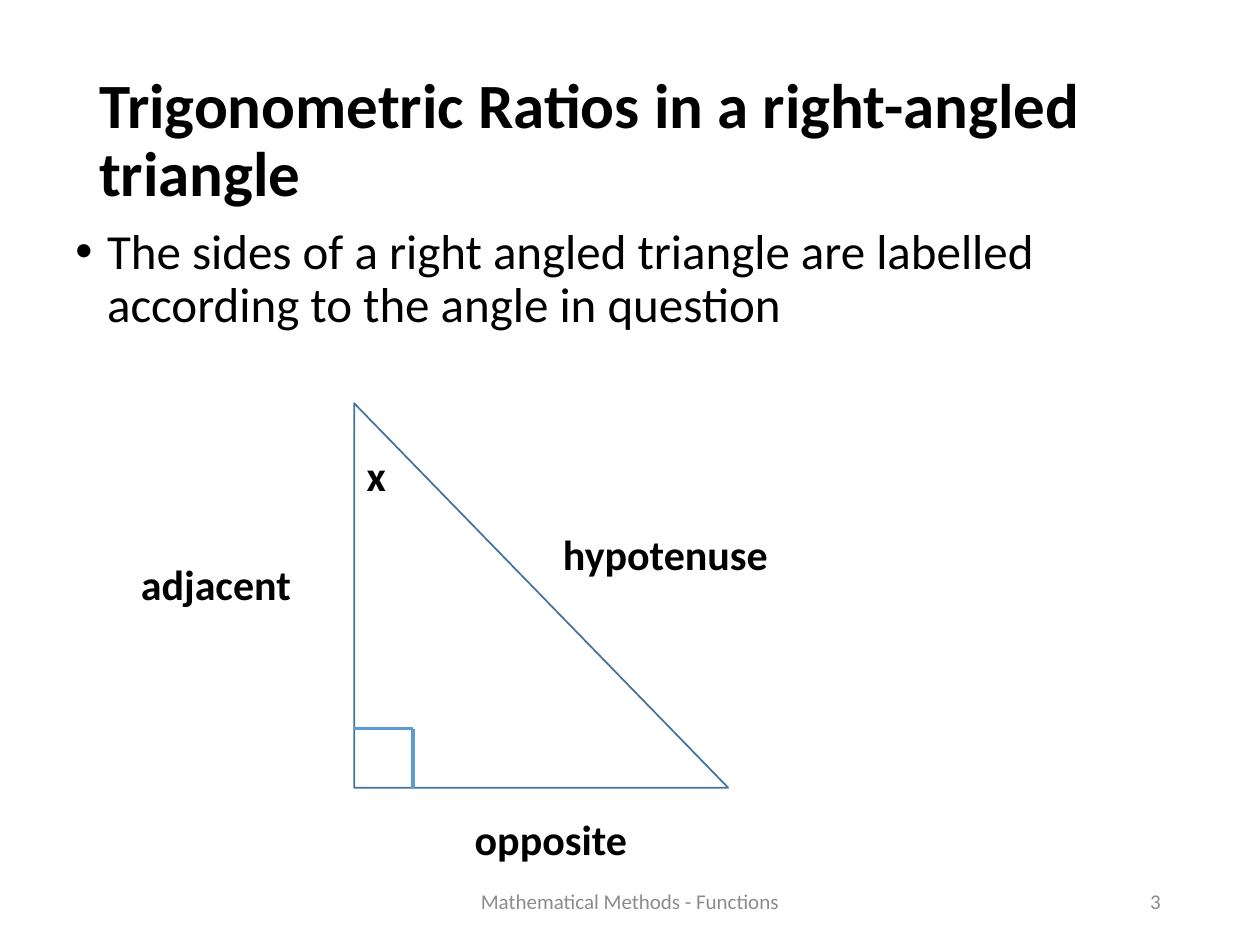
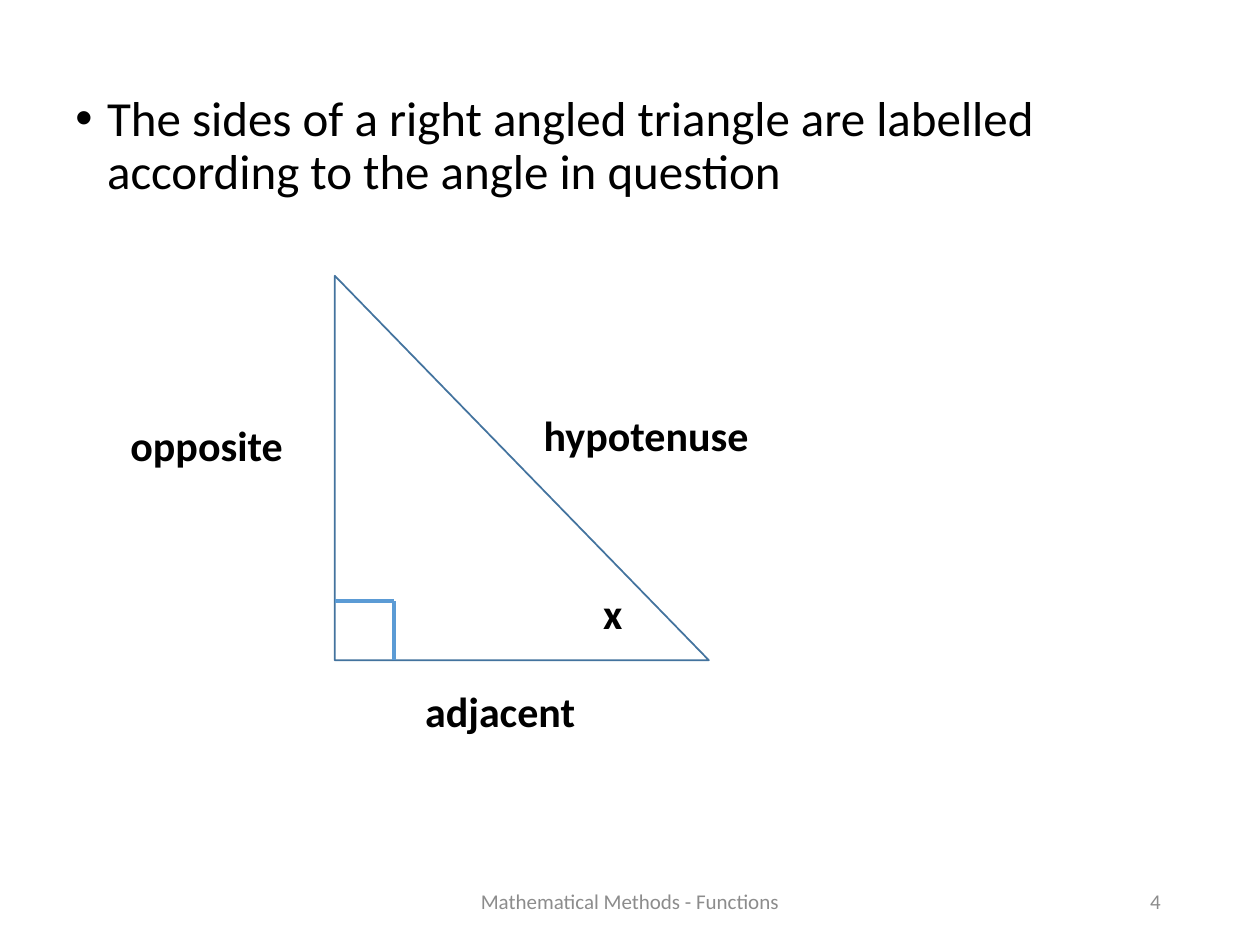
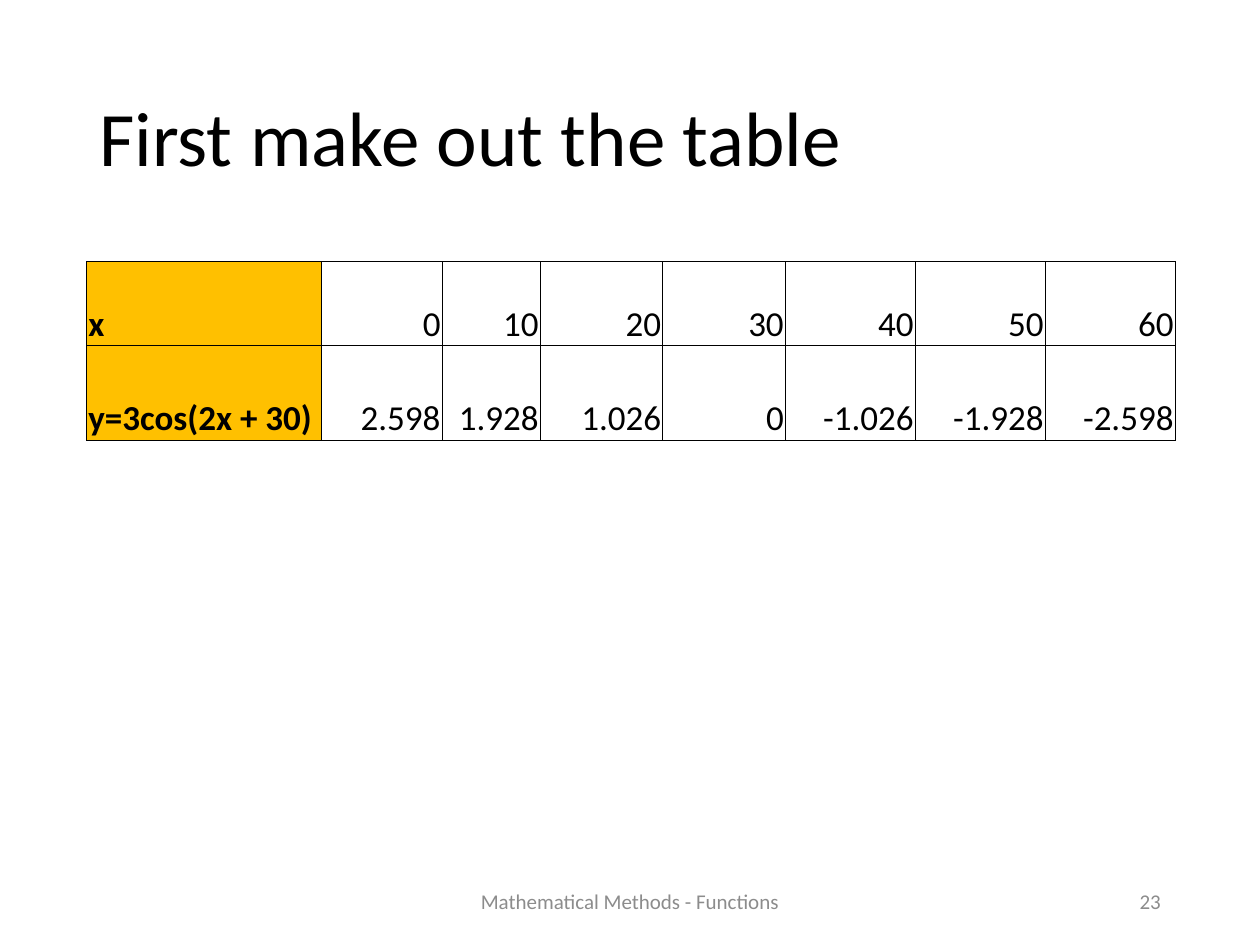
from lxml.etree import SubElement
from pptx import Presentation
from pptx.dml.color import RGBColor
from pptx.enum.shapes import MSO_CONNECTOR, MSO_SHAPE
from pptx.enum.text import MSO_ANCHOR, PP_ALIGN
from pptx.oxml.ns import qn
from pptx.util import Cm, Pt

# Shared look
FONT = "Calibri"
BLACK = RGBColor(0x00, 0x00, 0x00)
GREY = RGBColor(0x8C, 0x8C, 0x8C)
OUTLINE_BLUE = RGBColor(0x43, 0x73, 0x9E)
MARK_BLUE = RGBColor(0x5B, 0x9B, 0xD5)
AMBER = RGBColor(0xFF, 0xC0, 0x00)

# Shared regions in cm: left, top, width, height
TITLE_BOX = (1.75, 1.02, 21.9, 3.68)
FOOTER_BOX = (8.41, 17.65, 8.58, 1.02)
NUMBER_BOX = (17.93, 17.65, 5.72, 1.02)

FOOTER = "Mathematical Methods - Functions"
SIDES_RULE = ("The sides of a right angled triangle are labelled "
              "according to the angle in question")


def write_text(frame, text, size=24, bold=False, color=BLACK,
               align=PP_ALIGN.LEFT, spacing=None, bullet=False):
    """Put one formatted paragraph in a text frame."""
    paragraph = frame.paragraphs[0]
    paragraph.alignment = align
    if spacing:
        paragraph.line_spacing = spacing
    if bullet:
        paragraph.space_before = Pt(10)
        properties = paragraph._p.get_or_add_pPr()
        properties.set("marL", str(Cm(0.64)))
        properties.set("indent", str(-Cm(0.64)))
        SubElement(properties, qn("a:buFont"), typeface="Arial")
        SubElement(properties, qn("a:buChar"), char="•")
    run = paragraph.add_run()
    run.text = text
    font = run.font
    font.name, font.size, font.bold = FONT, Pt(size), bold
    font.color.rgb = color


def add_text(slide, box, text, anchor=MSO_ANCHOR.TOP, **text_format):
    frame = slide.shapes.add_textbox(*map(Cm, box)).text_frame
    frame.word_wrap = True
    frame.vertical_anchor = anchor
    write_text(frame, text, **text_format)


def add_title(slide, text, **text_format):
    add_text(slide, TITLE_BOX, text, MSO_ANCHOR.MIDDLE, spacing=0.9, **text_format)


def add_footer(slide, number):
    for box, text, align in ((FOOTER_BOX, FOOTER, PP_ALIGN.CENTER),
                             (NUMBER_BOX, str(number), PP_ALIGN.RIGHT)):
        add_text(slide, box, text, MSO_ANCHOR.MIDDLE, size=12, color=GREY, align=align)


def add_sides_rule(slide, top):
    add_text(slide, (1.27, top, 22.86, 17.86 - top), SIDES_RULE,
             size=28, spacing=0.9, bullet=True)


def add_triangle(slide, box, labels):
    """Right-angled triangle; each label is text, x, y, width from its corner."""
    left, top, width, height = box
    triangle = slide.shapes.add_shape(MSO_SHAPE.RIGHT_TRIANGLE, *map(Cm, box))
    triangle.shadow.inherit = False
    triangle.fill.background()
    triangle.line.color.rgb = OUTLINE_BLUE
    triangle.line.width = Pt(1)

    # Right-angle mark
    mark = 1.19
    bottom = top + height
    corners = [(left, bottom - mark), (left + mark, bottom - mark), (left + mark, bottom)]
    for start, end in zip(corners, corners[1:]):
        edge = slide.shapes.add_connector(MSO_CONNECTOR.STRAIGHT, *map(Cm, start + end))
        edge.line.color.rgb = MARK_BLUE
        edge.line.width = Pt(2)
        SubElement(edge._element.spPr, qn("a:effectLst"))

    # Angle and side labels
    for text, x, y, label_width in labels:
        add_text(slide, (left + x, top + y, label_width, 1.27), text, bold=True)


def add_cell_borders(cell):
    properties = cell._tc.get_or_add_tcPr()
    for side in ("a:lnL", "a:lnR", "a:lnT", "a:lnB"):
        border = SubElement(properties, qn(side), w=str(Pt(0.5)))
        fill = SubElement(border, qn("a:solidFill"))
        SubElement(fill, qn("a:srgbClr"), val=str(BLACK))


def add_value_table(slide, left, top, column_widths, row_heights, rows):
    """Table of values with a highlighted first column."""
    table = slide.shapes.add_table(
        len(rows), len(column_widths), Cm(left), Cm(top),
        Cm(sum(column_widths)), Cm(sum(row_heights))).table
    table.first_row = table.horz_banding = False
    for column, width in zip(table.columns, column_widths):
        column.width = Cm(width)
    for row, height, values in zip(table.rows, row_heights, rows):
        row.height = Cm(height)
        for index, (cell, value) in enumerate(zip(row.cells, values)):
            heading = index == 0
            cell.margin_left = cell.margin_right = cell.margin_top = Cm(0.03)
            cell.margin_bottom = 0
            cell.vertical_anchor = MSO_ANCHOR.BOTTOM
            add_cell_borders(cell)
            if heading:
                cell.fill.solid()
                cell.fill.fore_color.rgb = AMBER
            else:
                cell.fill.background()
            write_text(cell.text_frame, value, size=20, bold=heading,
                       align=PP_ALIGN.LEFT if heading else PP_ALIGN.RIGHT)


def main():
    deck = Presentation()
    deck.slide_width, deck.slide_height = Cm(25.4), Cm(19.05)
    blank = deck.slide_layouts[6]

    # Angle at the top
    slide = deck.slides.add_slide(blank)
    add_title(slide, "Trigonometric Ratios in a right-angled triangle", size=36, bold=True)
    add_sides_rule(slide, 4.45)
    add_triangle(slide, (7.14, 8.13, 7.54, 7.75), [
        ("x", 0, 0.81, 1), ("hypotenuse", 3.96, 2.39, 8.13),
        ("adjacent", -4.55, 3, 3.96), ("opposite", 2.18, 8.15, 8.13)])
    add_footer(slide, 3)

    # Angle at the right
    slide = deck.slides.add_slide(blank)
    add_sides_rule(slide, 1.78)
    add_triangle(slide, (6.75, 5.56, 7.54, 7.75), [
        ("x", 5.16, 6.15, 1), ("hypotenuse", 3.96, 2.57, 8.13),
        ("adjacent", 1.57, 8.13, 3.96), ("opposite", -4.37, 2.77, 3.96)])
    add_footer(slide, 4)

    # Table of values
    slide = deck.slides.add_slide(blank)
    add_title(slide, "First make out the table", size=44)
    add_value_table(
        slide, 1.75, 5.27, [4.72, 2.44, 1.98, 2.47, 2.47, 2.62, 2.62, 2.62], [1.7, 1.9],
        [["x", "0", "10", "20", "30", "40", "50", "60"],
         ["y=3cos(2x + 30)", "2.598", "1.928", "1.026", "0", "-1.026", "-1.928", "-2.598"]])
    add_footer(slide, 23)

    deck.save("out.pptx")


if __name__ == "__main__":
    main()
